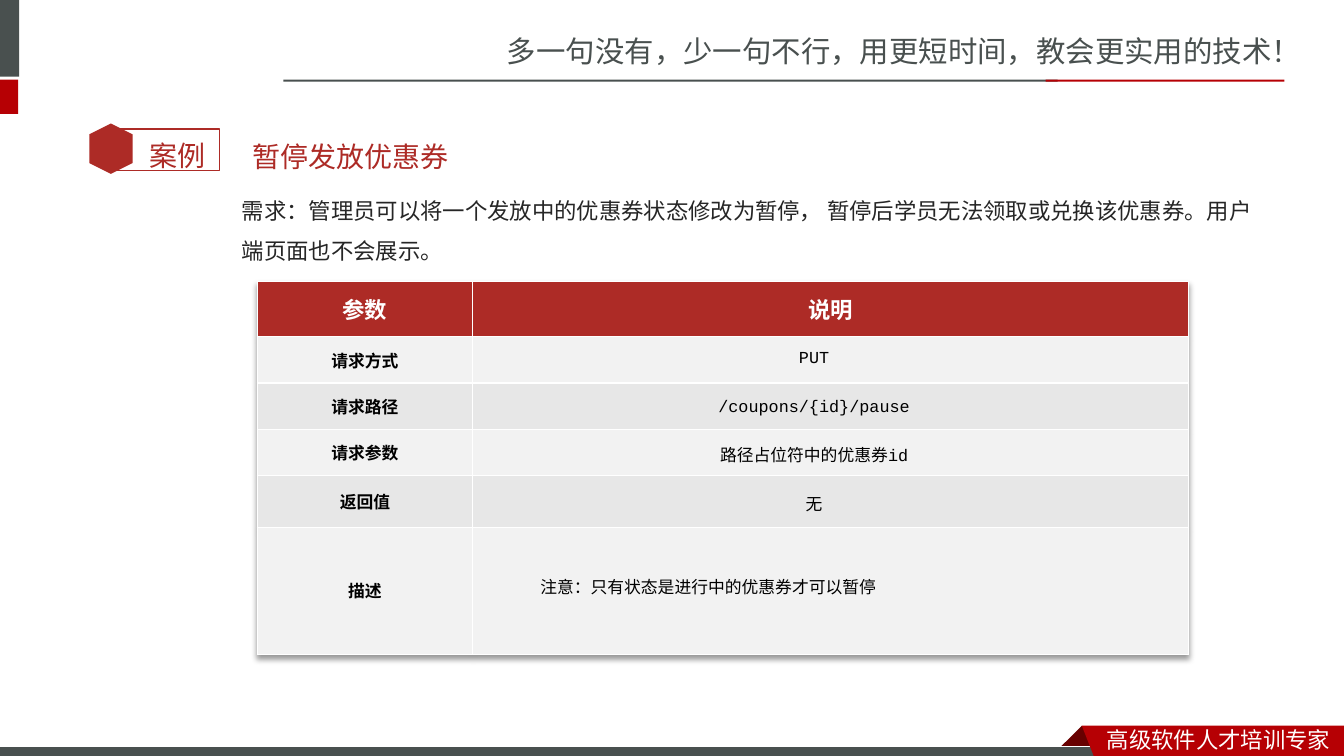
from lxml import etree
from pptx import Presentation
from pptx import util as u
from pptx.dml.color import RGBColor
from pptx.enum import shapes, text
from pptx.oxml import parse_xml
from pptx.oxml.ns import nsdecls, qn

PX = 9144  # 100 px to the inch

GREY = RGBColor(0x49, 0x50, 0x4F)
RED = RGBColor(0xB6, 0x00, 0x04)
DARK = RGBColor(0x68, 0x00, 0x00)
BRICK = RGBColor(0xAD, 0x2B, 0x26)
INK = RGBColor(0x26, 0x26, 0x26)
BLACK = RGBColor(0, 0, 0)
WHITE = RGBColor(255, 255, 255)
BANDS = [RGBColor(0xF2, 0xF2, 0xF2), RGBColor(0xE7, 0xE7, 0xE7)]

SANS, MONO = "Noto Sans CJK SC", "Courier New"
LEFT, MID = text.PP_ALIGN.LEFT, text.PP_ALIGN.CENTER

# Content
SLOGAN = "多一句没有，少一句不行，用更短时间，教会更实用的技术！"
MOTTO = "高级软件人才培训专家"
TAG = "案例"
TITLE = "暂停发放优惠券"
NEED = "需求：管理员可以将一个发放中的优惠券状态修改为暂停， 暂停后学员无法领取或兑换该优惠券。用户端页面也不会展示。"
HEADS = ["参数", "说明"]
ROWS = [("请求方式", 46), ("请求路径", 46), ("请求参数", 46), ("返回值", 51), ("描述", 126)]
COLS = [214, 710]
HEAD_H = 55
NOTES = [
    ("PUT", (711, 339, 193, 30), MID),
    ("/coupons/{id}/pause", (636, 388, 343, 30), MID),
    ("路径占位符中的优惠券id", (636, 436, 343, 30), MID),
    ("无", (636, 485, 343, 30), MID),
    ("注意：只有状态是进行中的优惠券才可以暂停", (526, 567, 601, 30), LEFT),
]
BARS = [
    ((-6, 0, 25, 76), GREY),
    ((-6, 79, 24, 34), RED),
    ((281, 79, 768, 2), GREY),
    ((1037, 79, 237, 2), RED),
]
FOLD = [(1073, 720), (1095, 742), (1094, 743), (1052, 743), (1051, 742)]
RIBBON = [(1073, 720), (1333, 720), (1333, 754), (1086, 753)]

prs = Presentation()
prs.slide_width, prs.slide_height = 1333 * PX, 750 * PX
slide = prs.slides.add_slide(prs.slide_layouts[1])
tree = slide.shapes


def emu(box):
    return [v * PX for v in box]


def write(frame, words, size, font, color, align=LEFT, bold=False, line=None, before=None):
    frame.word_wrap = True
    par = frame.paragraphs[0]
    par.alignment, par.line_spacing = align, line
    if before is not None:
        par.space_before = u.Pt(before)
    run = par.add_run()
    run.text = words
    run.font.size, run.font.name, run.font.bold = u.Pt(size), font, bold
    run.font.color.rgb = color
    east = etree.SubElement(run.font._element, qn("a:ea"))
    east.set("typeface", SANS)
    return par


def label(box, words, size, font, color, **form):
    frame = tree.add_textbox(*emu(box)).text_frame
    write(frame, words, size, font, color, **form)
    frame.auto_size = text.MSO_AUTO_SIZE.SHAPE_TO_FIT_TEXT


def paint(shape, fill=None, line=None, width=1):
    shape.shadow.inherit = False
    if fill is None:
        shape.fill.background()
    else:
        shape.fill.solid()
        shape.fill.fore_color.rgb = fill
    if line is None:
        shape.line.fill.background()
    else:
        shape.line.color.rgb = line
        shape.line.width = u.Pt(width)
    return shape


def block(box, fill=None, kind=shapes.MSO_SHAPE.RECTANGLE, **edge):
    return paint(tree.add_shape(kind, *emu(box)), fill, **edge)


def outline(points, fill):
    form = tree.build_freeform(*points[0], scale=PX)
    form.add_line_segments(points[1:], close=True)
    paint(form.convert_to_shape(), fill)


def place(holder, box):
    holder.left, holder.top, holder.width, holder.height = emu(box)
    holder.text_frame.auto_size = text.MSO_AUTO_SIZE.NONE
    return holder.text_frame


# Header and side bars
label((493, 28, 841, 47), SLOGAN, 21, SANS, GREY)
for box, color in BARS:
    block(box, color)

# Footer ribbon
outline(FOLD, DARK)
block((-1, 741, 1100, 12), GREY, line=WHITE, width=0.75)
outline(RIBBON, RED)
label((1088, 715, 245, 37), MOTTO, 16, SANS, WHITE)

# Case tag
block((109, 128, 109, 41), line=BRICK)
block((85, 126, 50, 43), BRICK, shapes.MSO_SHAPE.HEXAGON).rotation = 90
label((138, 116, 85, 56), TAG, 20, "Arial", BRICK, line=1.5)

# Title and requirement
head = place(tree.title, (240, 103, 653, 70))
head.vertical_anchor = text.MSO_ANCHOR.MIDDLE
write(head, TITLE, 20, "Roboto", BRICK, line=2.0, before=4)

body = place(slide.placeholders[1], (240, 177, 1008, 71))
body.margin_left = body.margin_right = 0
props = write(body, NEED, 16, "Noto Sans CJK JP", INK, line=1.5, before=3)._p.get_or_add_pPr()
props.set("marL", "0")
props.set("indent", "0")
etree.SubElement(props, qn("a:buNone"))

# Parameter table with a soft shadow
heights = [HEAD_H] + [h for _, h in ROWS]
size = (255, 279, sum(COLS), sum(heights))
grid = tree.add_table(len(heights), len(COLS), *emu(size)).table
grid._tbl.tblPr.insert(0, parse_xml(
    f'<a:effectLst {nsdecls("a")}><a:outerShdw blurRad="50800" dist="38100" dir="5400000" '
    'algn="t" rotWithShape="0"><a:prstClr val="black"><a:alpha val="40000"/></a:prstClr>'
    '</a:outerShdw></a:effectLst>'))
for col, width in zip(grid.columns, COLS):
    col.width = width * PX
cells = [HEADS] + [(name, "") for name, _ in ROWS]
for r, (names, height) in enumerate(zip(cells, heights)):
    grid.rows[r].height = height * PX
    for c, name in enumerate(names):
        cell = grid.cell(r, c)
        cell.vertical_anchor = text.MSO_ANCHOR.MIDDLE
        cell.fill.solid()
        cell.fill.fore_color.rgb = BANDS[(r - 1) % 2] if r else BRICK
        if name:
            write(cell.text_frame, name, 12 if r else 16, MONO,
                  BLACK if r else WHITE, align=MID, bold=True)

# Values laid over the table
for words, box, align in NOTES:
    label(box, words, 12, MONO, BLACK, align=align)

prs.save("out.pptx")
